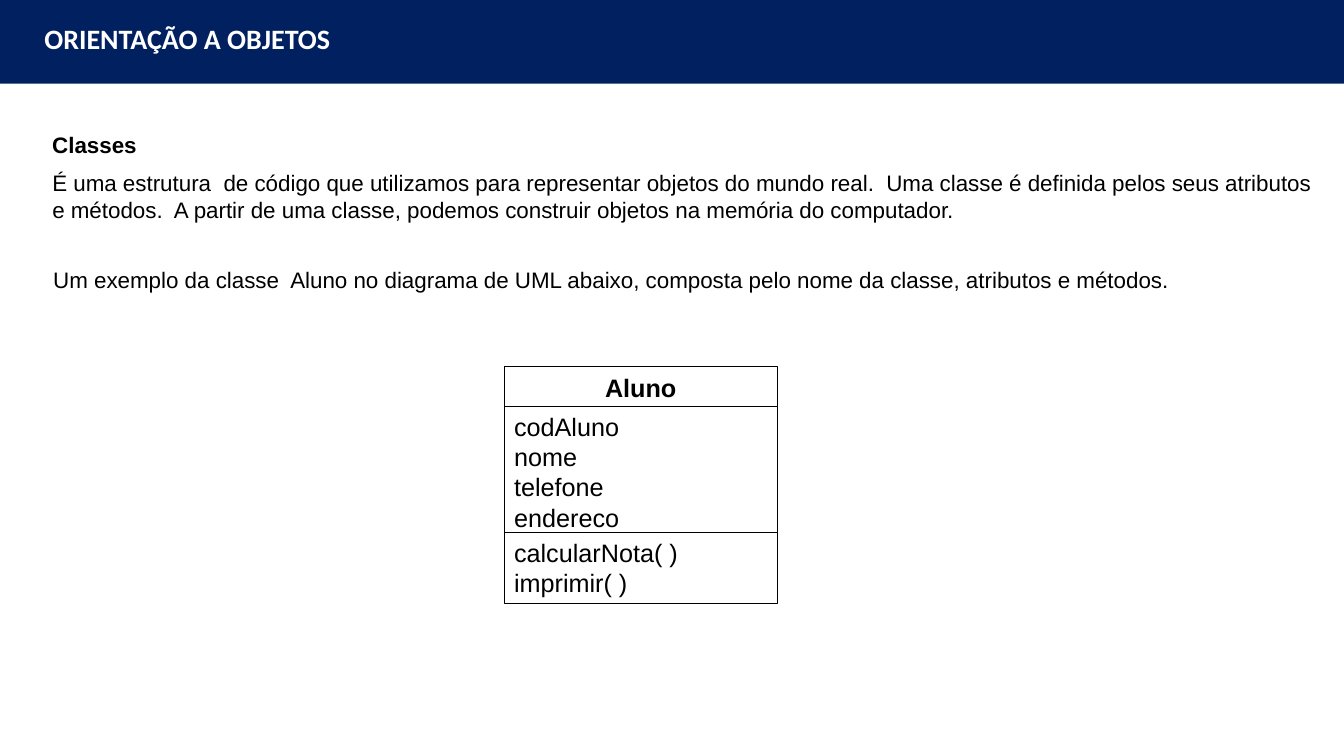
from dataclasses import dataclass

from pptx import Presentation
from pptx.dml.color import RGBColor
from pptx.enum.shapes import MSO_SHAPE
from pptx.enum.text import MSO_ANCHOR, MSO_AUTO_SIZE, PP_ALIGN
from pptx.util import Inches, Pt

RECTANGLE = MSO_SHAPE.RECTANGLE
TOP = MSO_ANCHOR.TOP
NO_AUTOFIT = MSO_AUTO_SIZE.NONE
LEFT, CENTER, JUSTIFY = PP_ALIGN.LEFT, PP_ALIGN.CENTER, PP_ALIGN.JUSTIFY
TITLE_ONLY = 5


@dataclass(frozen=True)
class Theme:
    """Colours, fonts and type sizes of the slide."""
    navy: RGBColor = RGBColor(0x00, 0x20, 0x60)
    white: RGBColor = RGBColor(0xFF, 0xFF, 0xFF)
    black: RGBColor = RGBColor(0x00, 0x00, 0x00)
    heading_font: str = "Calibri"
    body_font: str = "Arial"
    title_size: int = 20
    body_size: int = 16
    class_size: int = 18
    outline: float = 0.75


THEME = Theme()


def write_text(frame, lines, size=THEME.body_size, font=THEME.body_font,
               color=THEME.black, bold=False, align=LEFT):
    """Fill a text frame with one formatted paragraph per line."""
    frame.auto_size = NO_AUTOFIT
    frame.word_wrap = True
    frame.vertical_anchor = TOP
    frame.margin_left = frame.margin_right = Inches(0.1)
    frame.margin_top = frame.margin_bottom = Inches(0.05)
    for index, line in enumerate(lines):
        paragraph = frame.add_paragraph() if index else frame.paragraphs[0]
        paragraph.alignment = align
        run = paragraph.add_run()
        run.text = line
        run.font.size = Pt(size)
        run.font.name = font
        run.font.bold = bold
        run.font.color.rgb = color


def add_rectangle(slide, left, top, width, height, fill, line=None):
    """Add a flat rectangle, outlined only when a line colour is given."""
    rectangle = slide.shapes.add_shape(
        RECTANGLE, Inches(left), Inches(top), Inches(width), Inches(height))
    rectangle.shadow.inherit = False
    rectangle.fill.solid()
    rectangle.fill.fore_color.rgb = fill
    if line is None:
        rectangle.line.fill.background()
    else:
        rectangle.line.color.rgb = line
        rectangle.line.width = Pt(THEME.outline)
    return rectangle


def add_header(slide):
    """Place the title over a navy banner."""
    banner = add_rectangle(slide, -0.01, 0, 13.35, 0.83, THEME.navy)
    title = slide.shapes.title
    title._element.addprevious(banner._element)
    title.left, title.top = Inches(0.34), Inches(0.16)
    title.width, title.height = Inches(3.9), Inches(0.44)
    write_text(title.text_frame, ["ORIENTAÇÃO A OBJETOS"], size=THEME.title_size,
               font=THEME.heading_font, color=THEME.white, bold=True)


def add_text(slide, left, top, width, height, lines, **text_format):
    """Add a wrapped text box."""
    box = slide.shapes.add_textbox(
        Inches(left), Inches(top), Inches(width), Inches(height))
    write_text(box.text_frame, lines, **text_format)


def add_class_diagram(slide, left, width, compartments):
    """Draw the stacked compartments of a UML class."""
    for top, height, lines, text_format in compartments:
        compartment = add_rectangle(
            slide, left, top, width, height, THEME.white, THEME.black)
        write_text(compartment.text_frame, lines, size=THEME.class_size, **text_format)


def main():
    """Build and save the slide."""
    presentation = Presentation()
    presentation.slide_width, presentation.slide_height = Inches(13.33), Inches(7.5)
    slide = presentation.slides.add_slide(presentation.slide_layouts[TITLE_ONLY])

    add_header(slide)
    add_text(slide, 0.42, 1.25, 1.1, 0.37, ["Classes"], bold=True)
    add_text(slide, 0.42, 1.63, 12.91, 0.64, [
        "É uma estrutura  de código que utilizamos para representar objetos do "
        "mundo real.  Uma classe é definida pelos seus atributos",
        "e métodos.  A partir de uma classe, podemos construir objetos na "
        "memória do computador.",
    ])
    add_text(slide, 0.43, 2.59, 11.84, 0.37, [
        "Um exemplo da classe  Aluno no diagrama de UML abaixo, composta pelo "
        "nome da classe, atributos e métodos.",
    ], align=JUSTIFY)
    add_class_diagram(slide, 5, 2.71, [
        (3.64, 0.4, ["Aluno"], {"bold": True, "align": CENTER}),
        (4.03, 1.31, ["codAluno", "nome", "telefone", "endereco"], {}),
        (5.28, 0.71, ["calcularNota( )", "imprimir( )"], {}),
    ])
    presentation.save("out.pptx")


if __name__ == "__main__":
    main()
